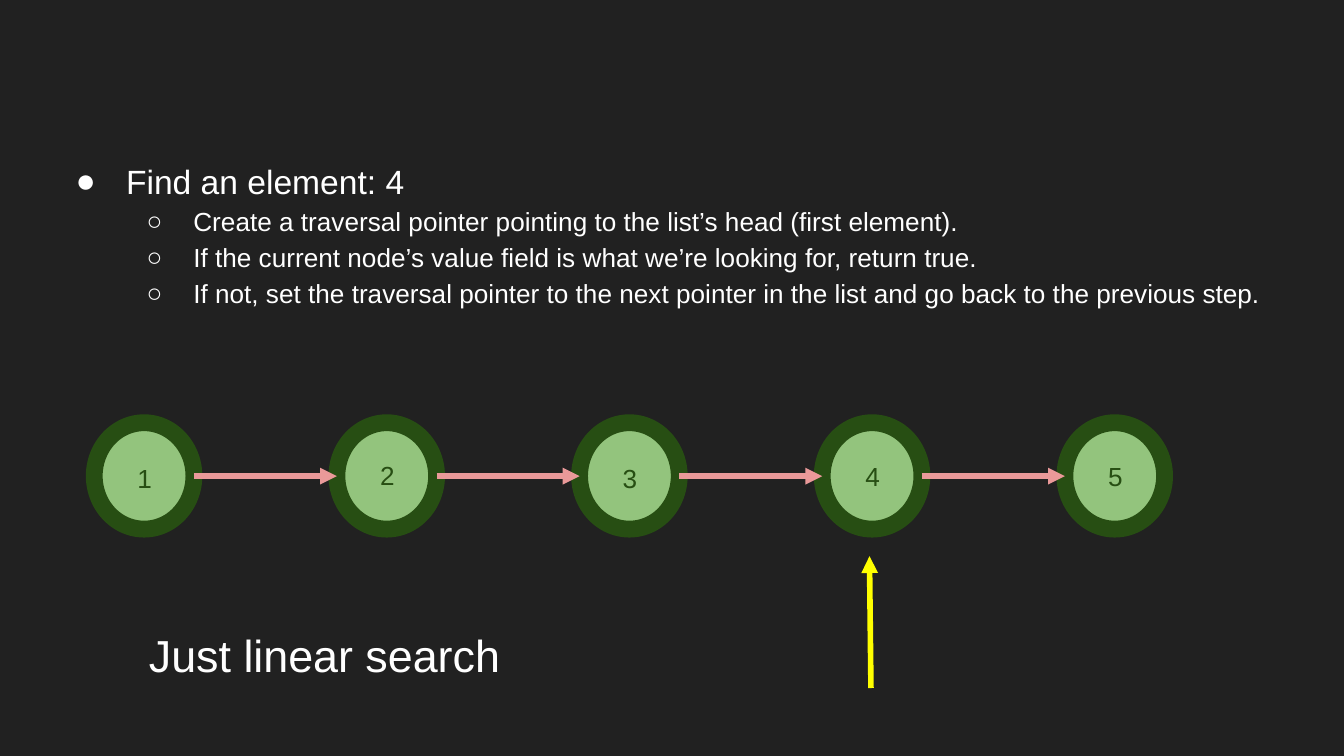
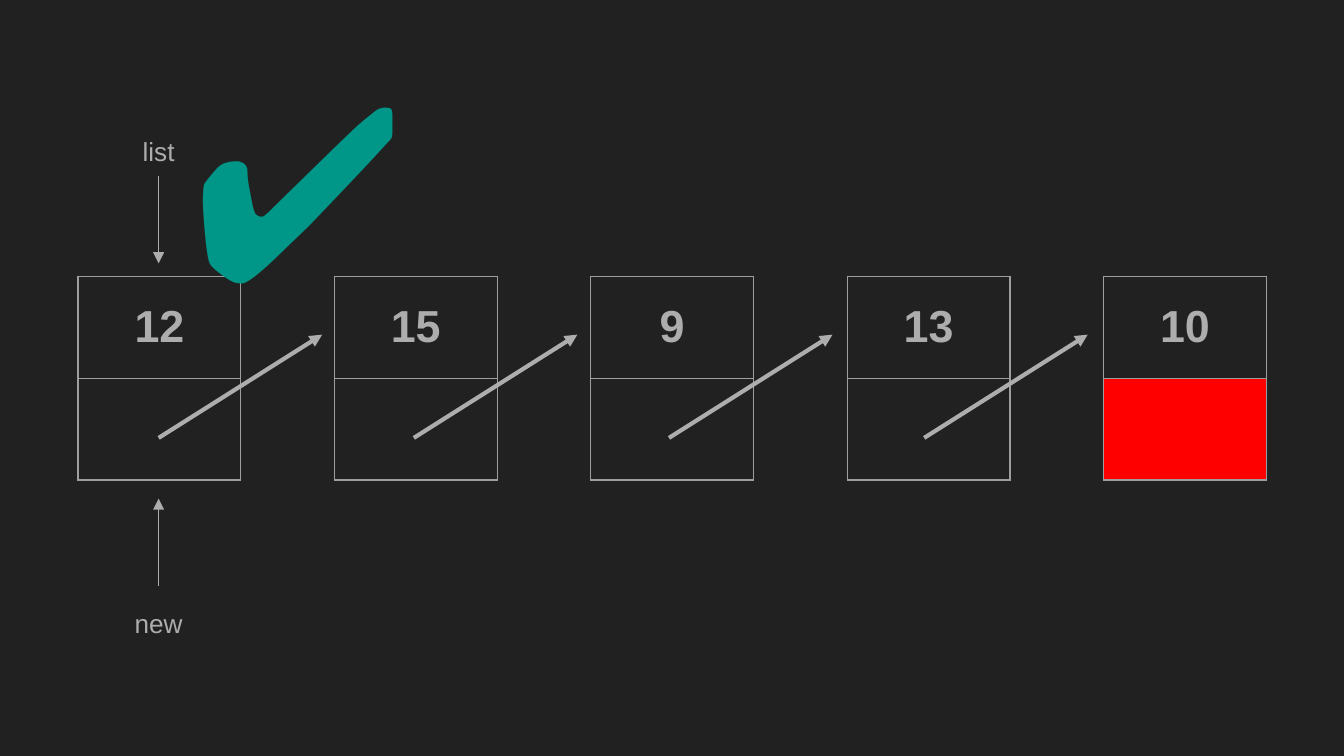
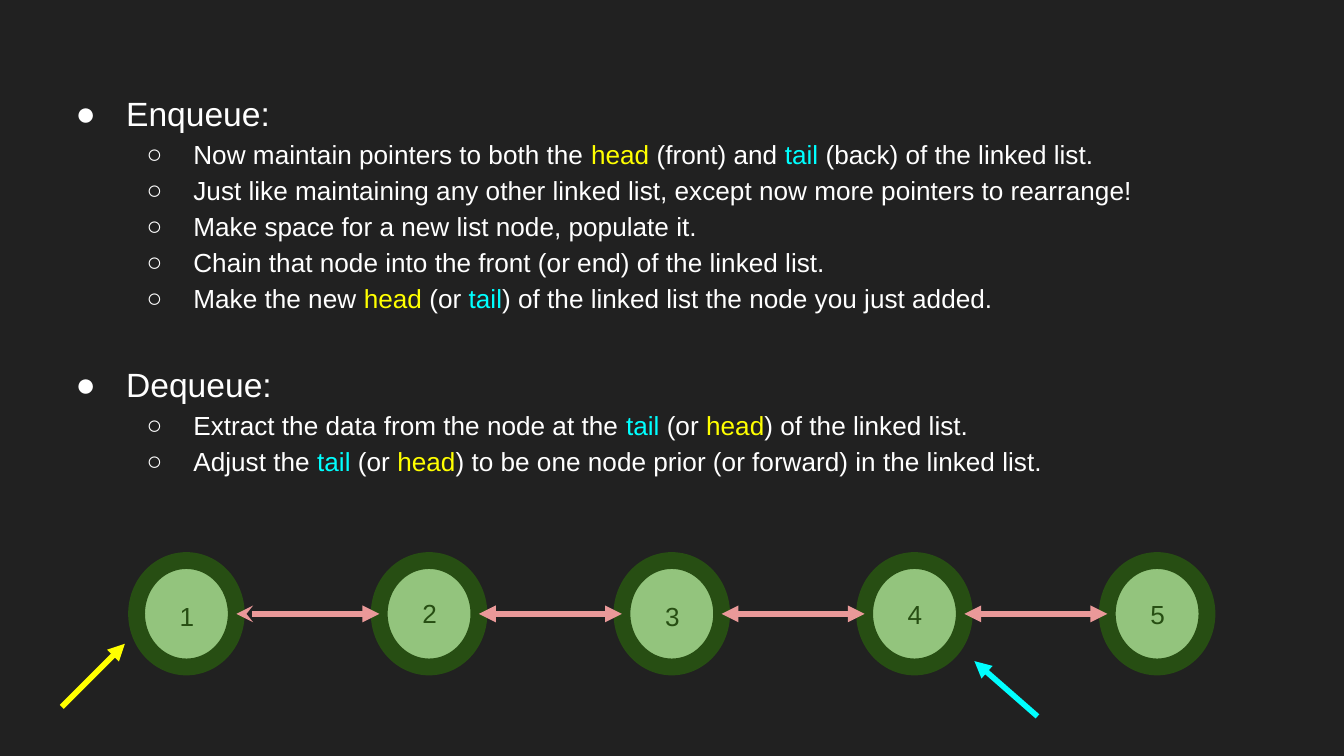
import pptx
import pptx.dml.color
import pptx.enum.shapes
import pptx.enum.text
import pptx.oxml.ns
import pptx.util
from lxml import etree

Pt = pptx.util.Pt
RGBColor = pptx.dml.color.RGBColor
qn = pptx.oxml.ns.qn
MSO_SHAPE = pptx.enum.shapes.MSO_SHAPE
MSO_CONNECTOR = pptx.enum.shapes.MSO_CONNECTOR
PP_ALIGN = pptx.enum.text.PP_ALIGN
MSO_ANCHOR = pptx.enum.text.MSO_ANCHOR

FONT = "Arial"
COLORS = {
    "background": "212121",
    "white": "FFFFFF",
    "gray": "ADADAD",
    "border": "9E9E9E",
    "node": "93C47D",
    "node_ring": "274E13",
    "link": "EA9999",
    "head": "FFFF00",
    "tail": "00FFFF",
    "null": "FF0000",
    "check": "009688",
}
RGB = {name: RGBColor.from_string(value) for name, value in COLORS.items()}


def add_text(shapes, box, lines, size, color, align=PP_ALIGN.LEFT, insets=(7.2, 7.2)):
    """Add a text box; each line is a list of run texts."""
    shape = shapes.add_textbox(*[Pt(value) for value in box])
    frame = shape.text_frame
    frame.word_wrap = True
    frame.margin_left = frame.margin_right = Pt(insets[0])
    frame.margin_top = frame.margin_bottom = Pt(insets[1])
    for index, line in enumerate(lines):
        paragraph = frame.add_paragraph() if index else frame.paragraphs[0]
        paragraph.alignment = align
        for text in line:
            run = paragraph.add_run()
            run.text = text
            run.font.name = FONT
            run.font.size = Pt(size)
            run.font.color.rgb = RGB[color]
    return frame


def add_arrow(shapes, start, end, color, width, start_head=None):
    points = [Pt(value) for value in (*start, *end)]
    connector = shapes.add_connector(MSO_CONNECTOR.STRAIGHT, *points)
    connector.line.color.rgb = RGB[color]
    connector.line.width = Pt(width)
    line = connector.line._get_or_add_ln()
    if start_head:
        etree.SubElement(line, qn("a:headEnd"), type=start_head)
    etree.SubElement(line, qn("a:tailEnd"), type="triangle")
    etree.SubElement(connector._element.spPr, qn("a:effectLst"))


presentation = pptx.Presentation()
presentation.slide_width = Pt(720)
presentation.slide_height = Pt(405)
blank_layout = presentation.slide_layouts[6]
slides = [presentation.slides.add_slide(blank_layout) for _ in range(3)]
for slide in slides:
    slide.background.fill.solid()
    slide.background.fill.fore_color.rgb = RGB["background"]
search_slide, insert_slide, queue_slide = slides

# Bulleted text of the search and queue slides
search_outline = [
    ("Find an element: 4", [
        ["Create a traversal pointer pointing to the list’s head (first element)."],
        ["If the current node’s value field is what we’re looking for, return true."],
        ["If not, set the traversal pointer to the next pointer in the list "
         "and go back to the previous step."],
    ]),
]
queue_outline = [
    ("Enqueue:", [
        ["Now maintain pointers to both the ", "head ", "(front) and ", "tail ",
         "(back) of the linked list."],
        ["Just like maintaining any other linked list, except now more pointers to rearrange!"],
        ["Make space for a new list node, populate it."],
        ["Chain that node into the front (or end) of the linked list."],
        ["Make the new ", "head ", "(or ", "tail",
         ") of the linked list the node you just added."],
    ]),
    ("Dequeue:", [
        ["Extract the data from the node at the ", "tail ", "(or ", "head",
         ") of the linked list."],
        ["Adjust the ", "tail ", "(or ", "head",
         ") to be one node prior (or forward) in the linked list."],
    ]),
]
for slide, top, outline in ((search_slide, 75.6, search_outline),
                            (queue_slide, 39.6, queue_outline)):
    lines, levels = [], []
    for heading, items in outline:
        lines += [[heading], *items]
        levels += [0] + [1] * len(items)
    frame = add_text(slide.shapes, (24.5, top, 671, 254), lines, 14, "white")
    for index, (paragraph, level) in enumerate(zip(frame.paragraphs, levels)):
        paragraph.level = level
        paragraph.line_spacing = 1.15
        if index and level == 0:
            paragraph.space_before = Pt(23.8)
        for run in paragraph.runs:
            if level == 0:
                run.font.size = Pt(18)
            if run.text.strip() in ("head", "tail"):
                run.font.color.rgb = RGB[run.text.strip()]
        properties = paragraph._p.get_or_add_pPr()
        properties.set("marL", str(Pt(72 if level else 36)))
        properties.set("indent", str(-Pt(25 if level else 27)))
        bullet_color = etree.SubElement(properties, qn("a:buClr"))
        etree.SubElement(bullet_color, qn("a:srgbClr"), val=COLORS["white"])
        etree.SubElement(properties, qn("a:buFont"), typeface=FONT)
        etree.SubElement(properties, qn("a:buChar"), char="○" if level else "●")

# Rows of linked nodes
node_width, node_height, node_pitch = 53.4, 57, 130
number_drops = [17.8, 16, 17.8, 16.5, 16.5]
for slide, row_left, row_top, start_heads in (
        (search_slide, 50.5, 226.5, [None] * 4),
        (queue_slide, 73.2, 300.3, ["stealth"] + ["triangle"] * 3)):
    group = slide.shapes.add_group_shape()
    node_lefts = [row_left + node_pitch * index for index in range(5)]
    for number, (left, drop) in enumerate(zip(node_lefts, number_drops), start=1):
        node = group.shapes.add_shape(MSO_SHAPE.OVAL, Pt(left), Pt(row_top),
                                      Pt(node_width), Pt(node_height))
        node.shadow.inherit = False
        node.fill.solid()
        node.fill.fore_color.rgb = RGB["node"]
        node.line.color.rgb = RGB["node_ring"]
        node.line.width = Pt(9)
        add_text(group.shapes, (left + 17.5, row_top + drop, 19, 26), [[str(number)]],
                 14, "node_ring", PP_ALIGN.CENTER, (0, 3.6))
    link_y = row_top + 28.6
    for left, next_left, start_head in zip(node_lefts, node_lefts[1:], start_heads):
        add_arrow(group.shapes, (left + node_width, link_y), (next_left, link_y),
                  "link", 3, start_head)

# Pointers and conclusion
add_arrow(search_slide.shapes, (466.6, 368.6), (465.8, 298), "head", 3)
add_text(search_slide.shapes, (72.7, 329, 438, 51), [["Just linear search"]], 24, "white")
add_arrow(queue_slide.shapes, (33.1, 378.7), (66.9, 344.9), "head", 3)
add_arrow(queue_slide.shapes, (555.8, 383.8), (522, 354.2), "tail", 3)

# List cells: value above, next pointer below
values = ["12", "15", "9", "13", "10"]
cell_width, cell_height = 87.2, 54.6
for index, value in enumerate(values):
    table = insert_slide.shapes.add_table(
        2, 1, Pt(41.8 + 137.35 * index), Pt(148),
        Pt(cell_width), Pt(2 * cell_height)).table
    table.first_row = table.horz_banding = False
    for cell in table.iter_cells():
        cell.vertical_anchor = MSO_ANCHOR.MIDDLE
        cell.margin_left = cell.margin_right = Pt(7.2)
        cell.margin_top = cell.margin_bottom = Pt(7.2)
        cell_properties = cell._tc.get_or_add_tcPr()
        for side in ("lnL", "lnR", "lnT", "lnB"):
            border = etree.SubElement(cell_properties, qn(f"a:{side}"), w=str(Pt(0.75)))
            border_fill = etree.SubElement(border, qn("a:solidFill"))
            etree.SubElement(border_fill, qn("a:srgbClr"), val=COLORS["border"])
        cell.fill.background()
    paragraph = table.cell(0, 0).text_frame.paragraphs[0]
    paragraph.alignment = PP_ALIGN.CENTER
    run = paragraph.add_run()
    run.text = value
    run.font.name = FONT
    run.font.size = Pt(24)
    run.font.bold = True
    run.font.color.rgb = RGB["gray"]
    if index == len(values) - 1:
        null_cell = table.cell(1, 0)
        null_cell.fill.solid()
        null_cell.fill.fore_color.rgb = RGB["null"]
    else:
        arrow_left = 85 + 136.7 * index
        add_arrow(insert_slide.shapes, (arrow_left, 234.6), (arrow_left + 87.6, 179.3),
                  "gray", 2.25)

# Labelled pointers to the first cell
for label, label_top, start_y, end_y in (("list", 65.5, 94.3, 141.1),
                                         ("new", 318.3, 313.9, 267.1)):
    add_text(insert_slide.shapes, (48.6, label_top, 72.7, 41), [[label]], 14, "gray",
             PP_ALIGN.CENTER)
    add_arrow(insert_slide.shapes, (85, start_y), (85, end_y), "gray", 0.75)
add_text(insert_slide.shapes, (75.6, 12.2, 168.5, 201.6), [["✔"]], 131, "check",
         PP_ALIGN.CENTER)

presentation.save("out.pptx")
